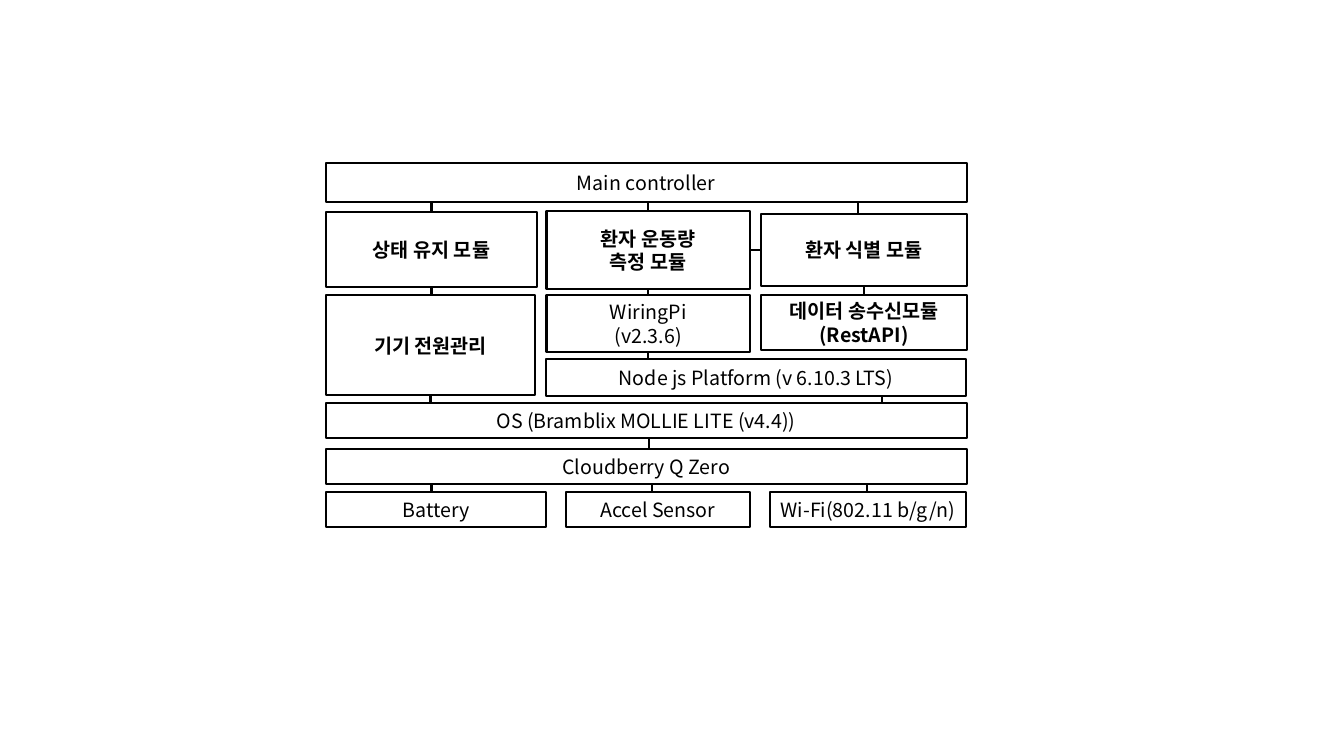
from dataclasses import dataclass

import pptx
import pptx.dml.color
import pptx.enum.shapes
import pptx.enum.text
import pptx.oxml.ns
import pptx.util
from lxml import etree

EMU_PER_PX = 9144  # 100 px to the inch
FONT = "Noto Sans CJK KR"
COLORS = {"ink": "000000", "paper": "FFFFFF"}
TOP, LEFT, BOTTOM, RIGHT = range(4)


@dataclass(frozen=True)
class Block:
    key: str
    lines: tuple[str, ...]
    left: int
    top: int
    width: int
    height: int
    bold: bool = False

    @property
    def center(self) -> float:
        return self.left + self.width / 2

    @property
    def bottom(self) -> int:
        return self.top + self.height


@dataclass(frozen=True)
class Link:
    upper: str
    lower: str
    x: int


# Layers of the stack, from the controller down to the hardware
BLOCKS = [
    Block("controller", ("Main controller",), 323, 162, 636, 38),
    Block("status", ("상태 유지 모듈",), 323, 210, 210, 75, True),
    Block("exercise", ("환자 운동량", "측정 모듈"), 542, 209, 202, 78, True),
    Block("identity", ("환자 식별 모듈",), 755, 212, 204, 72, True),
    Block("power", ("기기 전원관리",), 323, 293, 208, 99, True),
    Block("wiring", ("WiringPi", "(v2.3.6)"), 542, 293, 202, 56),
    Block("transfer", ("데이터 송수신모듈", "(RestAPI)"), 755, 293, 204, 54, True),
    Block("node", ("Node js Platform (v 6.10.3 LTS)",), 542, 356, 416, 37),
    Block("system", ("OS (Bramblix MOLLIE LITE (v4.4))",), 323, 400, 636, 35),
    Block("board", ("Cloudberry Q Zero",), 323, 445, 636, 35),
    Block("battery", ("Battery",), 323, 488, 219, 35),
    Block("sensor", ("Accel Sensor",), 561, 488, 183, 35),
    Block("wireless", ("Wi-Fi(802.11 b/g/n)",), 764, 488, 194, 35),
]

LINKS = [
    Link("controller", "status", 428),
    Link("controller", "exercise", 643),
    Link("controller", "identity", 851),
    Link("status", "power", 428),
    Link("exercise", "wiring", 643),
    Link("identity", "transfer", 857),
    Link("wiring", "node", 643),
    Link("power", "system", 427),
    Link("node", "system", 875),
    Link("system", "board", 644),
    Link("board", "battery", 428),
    Link("board", "sensor", 647),
    Link("board", "wireless", 860),
]


def px(length: float) -> int:
    return pptx.util.Emu(round(length * EMU_PER_PX))


def color(name: str) -> pptx.dml.color.RGBColor:
    return pptx.dml.color.RGBColor.from_string(COLORS[name])


def style_line(line) -> None:
    line.color.rgb = color("ink")
    line.width = pptx.util.Pt(1.5)


def draw_block(shapes, block: Block):
    box = shapes.add_shape(
        pptx.enum.shapes.MSO_SHAPE.RECTANGLE,
        px(block.left), px(block.top), px(block.width), px(block.height))
    box.shadow.inherit = False
    box.fill.solid()
    box.fill.fore_color.rgb = color("paper")
    style_line(box.line)

    frame = box.text_frame
    frame.word_wrap = True
    frame.vertical_anchor = pptx.enum.text.MSO_ANCHOR.MIDDLE
    frame.margin_left = frame.margin_right = px(5)
    frame.margin_top = frame.margin_bottom = 0
    for index, line in enumerate(block.lines):
        paragraph = frame.paragraphs[0] if index == 0 else frame.add_paragraph()
        paragraph.text = line
        paragraph.alignment = pptx.enum.text.PP_ALIGN.CENTER
        paragraph.font.name = FONT
        paragraph.font.size = pptx.util.Pt(14)
        paragraph.font.bold = block.bold
        paragraph.font.color.rgb = color("ink")
        # Korean glyphs take the East Asian typeface
        defaults = paragraph._p.find(".//" + pptx.oxml.ns.qn("a:defRPr"))
        etree.SubElement(defaults, pptx.oxml.ns.qn("a:ea"), typeface=FONT)
    return box


def draw_connector(shapes, kind, x1: int, y1: int, x2: int, y2: int):
    connector = shapes.add_connector(kind, px(x1), px(y1), px(x2), px(y2))
    style_line(connector.line)
    etree.SubElement(connector._element.spPr, pptx.oxml.ns.qn("a:effectLst"))
    return connector


def draw_link(shapes, link: Link, blocks: dict[str, Block], boxes: dict) -> None:
    upper, lower = blocks[link.upper], blocks[link.lower]
    connector = draw_connector(
        shapes, pptx.enum.shapes.MSO_CONNECTOR.STRAIGHT,
        link.x, upper.bottom, link.x, lower.top)
    if link.x == upper.center:
        connector.begin_connect(boxes[link.upper], BOTTOM)
    if link.x == lower.center:
        connector.end_connect(boxes[link.lower], TOP)


def main() -> None:
    presentation = pptx.Presentation()
    presentation.slide_width = px(1333)
    presentation.slide_height = px(750)
    slide = presentation.slides.add_slide(presentation.slide_layouts[6])
    shapes = slide.shapes

    # Blocks
    blocks = {block.key: block for block in BLOCKS}
    boxes = {block.key: draw_block(shapes, block) for block in BLOCKS}

    # Links between layers
    for link in LINKS:
        draw_link(shapes, link, blocks, boxes)

    # Link between the two patient modules
    patient_link = draw_connector(
        shapes, pptx.enum.shapes.MSO_CONNECTOR.ELBOW, 744, 248, 755, 248)
    patient_link.begin_connect(boxes["exercise"], RIGHT)
    patient_link.end_connect(boxes["identity"], LEFT)

    presentation.save("out.pptx")


if __name__ == "__main__":
    main()
